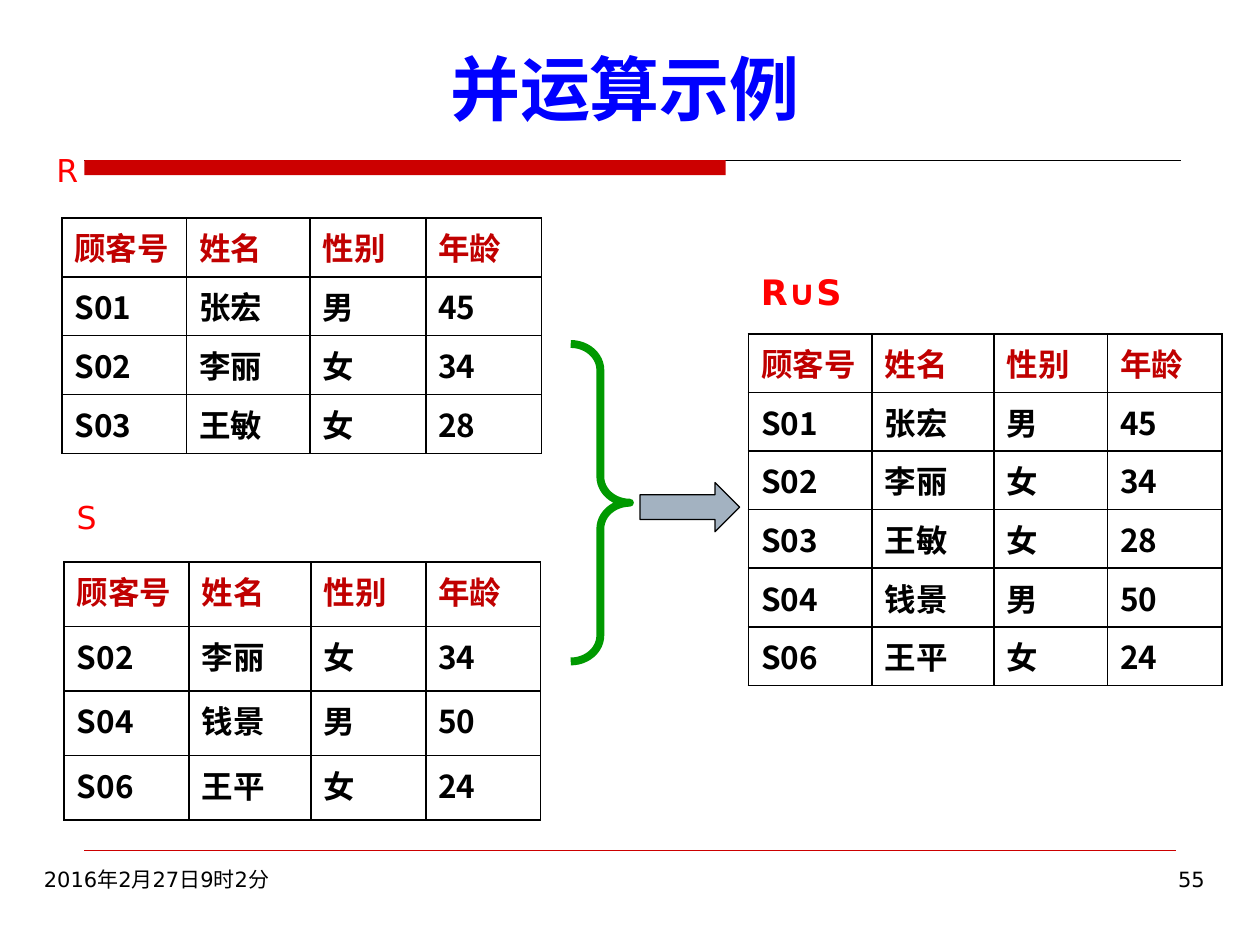
from lxml import etree
from pptx import Presentation
from pptx.dml.color import RGBColor
from pptx.enum import shapes, text
from pptx.oxml import ns
from pptx.util import Inches, Pt

BLACK = RGBColor(0, 0, 0)
RED = RGBColor(0xFF, 0, 0)
BLUE = RGBColor(0, 0, 0xFF)
BAR_RED = RGBColor(0xCC, 0, 0)
HEADER_RED = RGBColor(0xC0, 0, 0)
GREEN = RGBColor(0, 0x99, 0)
GREY = RGBColor(0xA3, 0xB2, 0xC1)
CJK, SANS = "Noto Sans CJK SC", "DejaVu Sans"
LEFT, CENTER, RIGHT = text.PP_ALIGN.LEFT, text.PP_ALIGN.CENTER, text.PP_ALIGN.RIGHT
TOP, BOTTOM = text.MSO_ANCHOR.TOP, text.MSO_ANCHOR.BOTTOM

HEADERS = ("顾客号", "姓名", "性别", "年龄")
CUSTOMERS = {
    "S01": ("张宏", "男", "45"),
    "S02": ("李丽", "女", "34"),
    "S03": ("王敏", "女", "28"),
    "S04": ("钱景", "男", "50"),
    "S06": ("王平", "女", "24"),
}
R_KEYS = ["S01", "S02", "S03"]
S_KEYS = ["S02", "S04", "S06"]
UNION_KEYS = sorted(set(R_KEYS) | set(S_KEYS))
TABLES = [
    (R_KEYS, 0.49, 1.73, 1.87, (0.99, 0.98, 0.92, 0.92)),
    (S_KEYS, 0.51, 4.46, 2.05, (0.99, 0.97, 0.91, 0.91)),
    (UNION_KEYS, 5.94, 2.65, 2.79, (0.98, 0.97, 0.9, 0.91)),
]
TEXTS = [
    ("并运算示例", (0.25, 0, 9.42, 1.08), 40, CJK, BLUE, True, CENTER, BOTTOM),
    ("R", (0.35, 1.15, 0.94, 0.63), 18, SANS, RED, False, LEFT, TOP),
    ("S", (0.51, 3.9, 0.94, 0.63), 18, SANS, RED, False, LEFT, TOP),
    ("R∪S", (5.94, 2.1, 1.5, 0.44), 20, SANS, RED, True, LEFT, TOP),
    ("2016年2月27日9时2分", (0.25, 6.83, 2.08, 0.5), 12, SANS, BLACK, False, LEFT, TOP),
    ("55", (7.58, 6.83, 2.08, 0.5), 12, SANS, BLACK, False, RIGHT, TOP),
]


def style_run(r, size, font, color, bold):
    r.font.size = Pt(size)
    r.font.name = font
    r.font.bold = bold
    r.font.color.rgb = color
    ea = etree.Element(ns.qn("a:ea"), typeface=CJK)
    r.font._element.find(ns.qn("a:latin")).addnext(ea)


def add_text(s, words, box, size, font, color, bold, align, anchor):
    tf = s.shapes.add_textbox(*map(Inches, box)).text_frame
    tf.word_wrap = True
    tf.vertical_anchor = anchor
    tf.text = words
    p = tf.paragraphs[0]
    p.alignment = align
    style_run(p.runs[0], size, font, color, bold)


def add_borders(cell):
    tcPr = cell._tc.get_or_add_tcPr()
    for i, side in enumerate(("lnL", "lnR", "lnT", "lnB")):
        ln = etree.Element(ns.qn("a:" + side), w=str(Pt(1)))
        fill = etree.SubElement(ln, ns.qn("a:solidFill"))
        etree.SubElement(fill, ns.qn("a:srgbClr"), val=str(BLACK))
        tcPr.insert(i, ln)


def add_relation(s, keys, left, top, height, widths):
    rows = [HEADERS] + [(key, *CUSTOMERS[key]) for key in keys]
    frame = s.shapes.add_table(len(rows), len(HEADERS), Inches(left), Inches(top),
                               Inches(sum(widths)), Inches(height))
    table = frame.table
    table.first_row = table.horz_banding = False
    for column, width in zip(table.columns, widths):
        column.width = Inches(width)
    for i, row in enumerate(rows):
        for j, value in enumerate(row):
            cell = table.cell(i, j)
            cell.fill.background()
            add_borders(cell)
            cell.text_frame.text = value
            p = cell.text_frame.paragraphs[0]
            pPr = p._p.get_or_add_pPr()
            pPr.set("marL", str(Inches(0.38)))
            pPr.set("indent", str(-Inches(0.38)))
            style_run(p.runs[0], 18, CJK, BLACK if i else HEADER_RED, True)


def add_shape(s, kind, box, fill, line, width):
    sp = s.shapes.add_shape(kind, *map(Inches, box))
    sp.shadow.inherit = False
    if fill is None:
        sp.fill.background()
    else:
        sp.fill.solid()
        sp.fill.fore_color.rgb = fill
    if line is None:
        sp.line.fill.background()
    else:
        sp.line.color.rgb = line
        sp.line.width = Pt(width)
    return sp


def add_rule(s, right, y, color, width):
    rule = s.shapes.add_connector(shapes.MSO_CONNECTOR.STRAIGHT, Inches(0.67), Inches(y),
                                  Inches(right), Inches(y))
    rule.line.color.rgb = color
    rule.line.width = Pt(width)
    etree.SubElement(rule._element.spPr, ns.qn("a:effectLst"))


def main():
    prs = Presentation()
    prs.slide_width, prs.slide_height = Inches(10), Inches(7.5)
    s = prs.slides.add_slide(prs.slide_layouts[6])

    kinds = shapes.MSO_SHAPE
    add_rule(s, 9.37, 1.27, BLACK, 0.5)
    add_shape(s, kinds.RECTANGLE, (0.67, 1.27, 5.09, 0.12), BAR_RED, None, 0)
    add_rule(s, 9.33, 6.75, BAR_RED, 0.25)
    for relation in TABLES:
        add_relation(s, *relation)
    brace = add_shape(s, kinds.RIGHT_BRACE, (4.53, 2.73, 0.47, 2.52), None, GREEN, 4.5)
    brace.adjustments[0] = 0.44
    add_shape(s, kinds.RIGHT_ARROW, (5.08, 3.83, 0.79, 0.39), GREY, BLACK, 0.75)
    for item in TEXTS:
        add_text(s, *item)
    prs.save("out.pptx")


if __name__ == "__main__":
    main()
